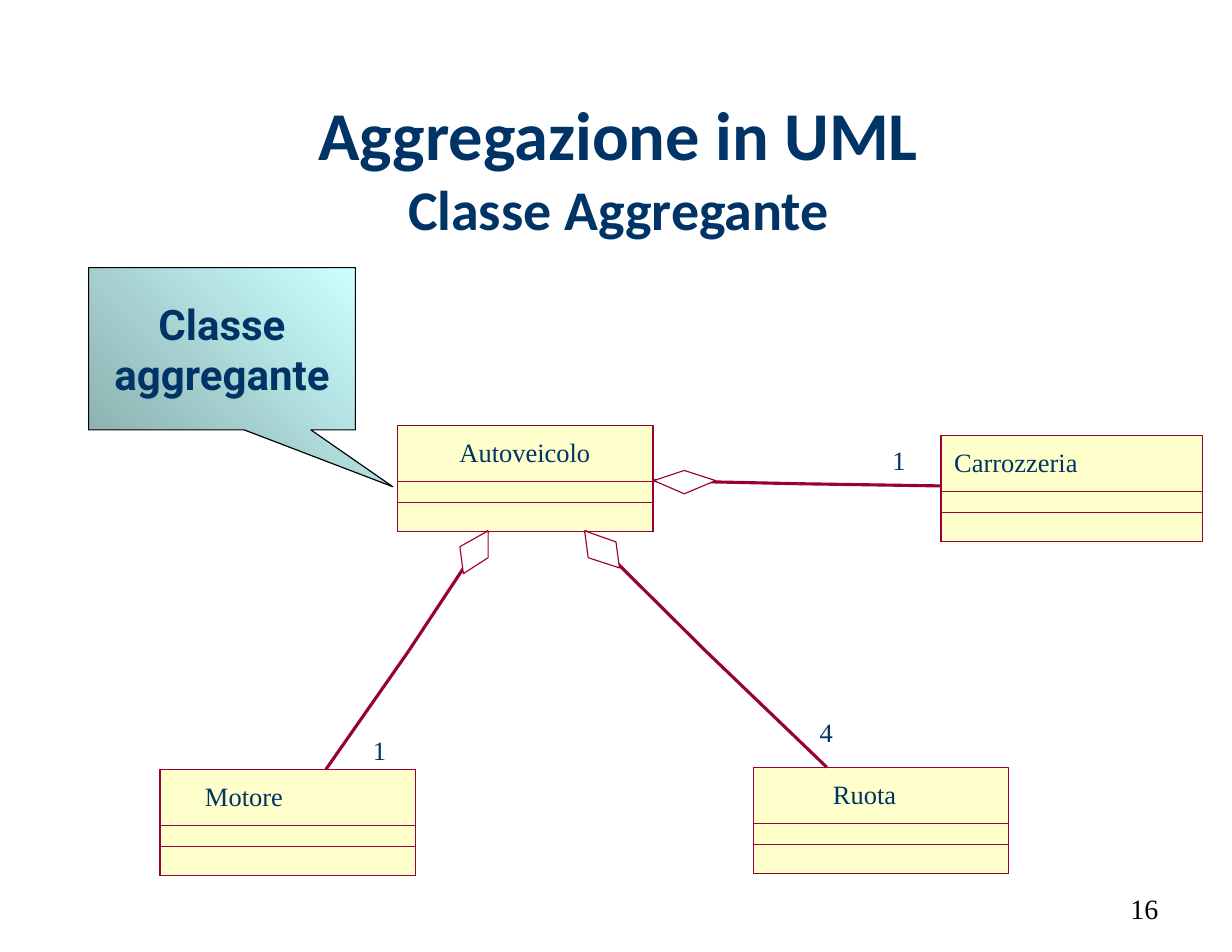
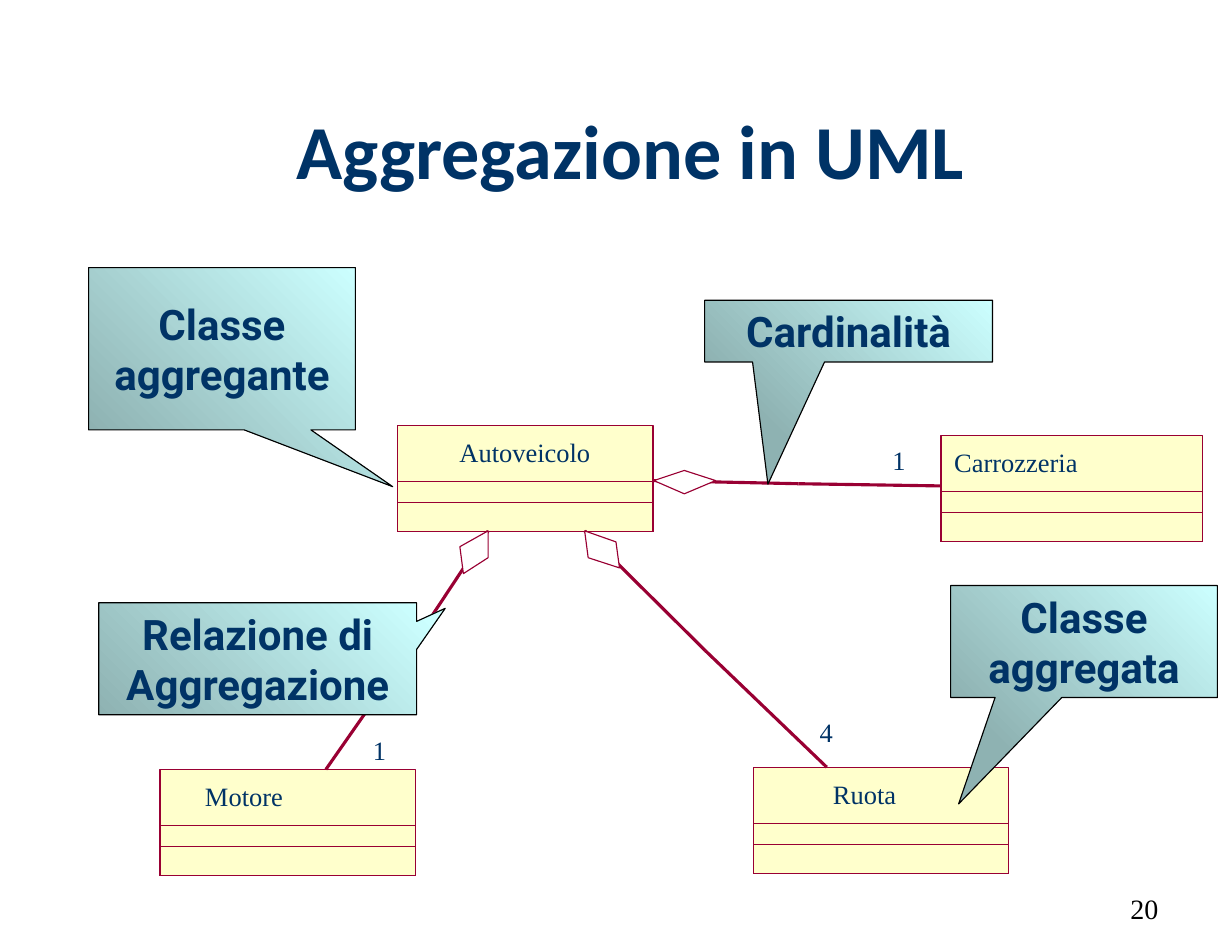
from lxml.etree import SubElement
from pptx import Presentation
from pptx.dml.color import RGBColor
from pptx.enum.shapes import MSO_CONNECTOR, MSO_SHAPE
from pptx.enum.text import MSO_ANCHOR as Anchor, MSO_AUTO_SIZE as AutoSize, PP_ALIGN as Align
from pptx.oxml.ns import qn
from pptx.util import Cm, Pt

NAVY, BLACK, WHITE = "003366", "000000", "FFFFFF"
CREAM, WINE = "FFFFCC", "990033"
TEAL, AQUA = "8EB2B2", "CCFFFF"

TITLE_FONT = dict(name="Calibri", bold=True, color=NAVY)
LABEL_FONT = dict(name="Times New Roman", size=Pt(17), color=NAVY)
NUMBER_FONT = dict(name="Times New Roman", size=Pt(18), color=BLACK)
CALLOUT_FONT = dict(name="Roboto", size=Pt(27), bold=True, color=NAVY)

# All lengths below are centimetres.
TITLE_SIZE = (24.92, 3.61)
NUMBER_BOX = (20.02, 20.02, 6.53, 1.14)
CLASS_HEIGHT = 2.41
COMPARTMENT_TOPS = (1.27, 1.75)
LABEL_HEIGHT = 0.71

# name, left, top, width, indent of the name
CLASSES = [
    ("Ruota", 17.09, 17.4, 5.79, 1.8),
    ("Carrozzeria", 21.34, 9.88, 5.94, 0.3),
    ("Autoveicolo", 9.02, 9.65, 5.79, 1.4),
    ("Motore", 3.63, 17.45, 5.79, 1.02),
]

# tip at the whole, bend, end at the part, diamond corners from the tip,
# cardinality and its place
AGGREGATIONS = [
    ((11.07, 12.04), (9.27, 14.76), (7.39, 17.45),
     [(0, 0.61), (-0.56, 0.97), (-0.64, 0.36)], "1", (8.46, 16.64)),
    ((13.26, 12.04), (16, 14.76), (18.75, 17.4),
     [(0.71, 0.25), (0.79, 0.84), (0.08, 0.61)], "4", (18.59, 16.23)),
    ((14.83, 10.9), (18.11, 10.97), (21.34, 11.02),
     [(0.69, -0.23), (1.4, 0), (0.69, 0.3)], "1", (20.24, 10.08)),
]

# text, box, pointer tip as a share of the box size from its centre
WHOLE_CALLOUT = ("Classe aggregante", (2.01, 6.07, 6.05, 3.68), (0.64, 0.85))
OTHER_CALLOUTS = [
    ("Classe aggregata", (21.56, 13.28, 6.05, 2.54), (-0.47, 1.45)),
    ("Relazione di Aggregazione", (2.24, 13.67, 7.21, 2.54), (0.59, -0.45)),
    ("Cardinalità", (15.98, 6.81, 6.53, 1.4), (-0.28, 2.48)),
]


def cm(*lengths):
    return [Cm(length) for length in lengths]


def rgb(code):
    return RGBColor.from_string(code)


def assign(target, values):
    for name, value in values.items():
        setattr(target, name, value)


def add_span(para, text, font):
    span = para.add_run()
    span.text = text
    assign(span.font, {key: value for key, value in font.items() if key != "color"})
    span.font.color.rgb = rgb(font["color"])


def set_frame(frame, inset_x=0, inset_y=0, **values):
    assign(frame, dict(margin_left=Cm(inset_x), margin_right=Cm(inset_x),
                       margin_top=Cm(inset_y), margin_bottom=Cm(inset_y),
                       auto_size=AutoSize.NONE, **values))


def set_outline(shape, color=WINE, width=0):
    shape.line.color.rgb = rgb(color)
    shape.line.width = Pt(width)


def add_title(page, left, top, lines):
    """Put the (text, size) lines in the title, parted by line breaks."""
    title = page.shapes.title
    box = cm(left, top, *TITLE_SIZE)
    assign(title, dict(zip(("left", "top", "width", "height"), box)))
    set_frame(title.text_frame, 0.28, 0.15, word_wrap=True,
              vertical_anchor=Anchor.MIDDLE)
    para = title.text_frame.paragraphs[0]
    para.alignment = Align.CENTER
    for index, (text, size) in enumerate(lines):
        if index:
            para.add_line_break()
        add_span(para, text, dict(TITLE_FONT, size=Pt(size)))


def add_page_number(page, number):
    frame = page.shapes.add_textbox(*cm(*NUMBER_BOX)).text_frame
    set_frame(frame, 0.28, 0.15, word_wrap=True, vertical_anchor=Anchor.MIDDLE)
    para = frame.paragraphs[0]
    para.alignment = Align.RIGHT
    add_span(para, str(number), NUMBER_FONT)


def add_label(page, text, left, top, width):
    frame = page.shapes.add_textbox(*cm(left, top, width, LABEL_HEIGHT)).text_frame
    set_frame(frame, word_wrap=False)
    add_span(frame.paragraphs[0], text, LABEL_FONT)


def add_class(page, name, left, top, width, indent):
    """Draw a class box with its name and two empty compartments."""
    for offset in (0, *COMPARTMENT_TOPS):
        box = cm(left, top + offset, width, CLASS_HEIGHT - offset)
        part = page.shapes.add_shape(MSO_SHAPE.RECTANGLE, *box)
        part.shadow.inherit = False
        set_outline(part)
        if offset:
            part.fill.background()
        else:
            part.fill.solid()
            part.fill.fore_color.rgb = rgb(CREAM)
    add_label(page, name, left + indent, top + 0.24, width - 2 * indent)


def add_line(page, start, end):
    line = page.shapes.add_connector(MSO_CONNECTOR.STRAIGHT, *cm(*start, *end))
    set_outline(line)
    SubElement(line._element.spPr, qn("a:effectLst"))


def add_aggregation(page, tip, bend, end, corners, cardinality, label_at):
    add_line(page, bend, tip)
    add_line(page, bend, end)
    outline = page.shapes.build_freeform(*cm(*tip))
    outline.add_line_segments([cm(tip[0] + x, tip[1] + y) for x, y in corners])
    diamond = outline.convert_to_shape()
    diamond.shadow.inherit = False
    diamond.fill.solid()
    diamond.fill.fore_color.rgb = rgb(WHITE)
    set_outline(diamond)
    add_label(page, cardinality, *label_at, 0.3)


def add_callout(page, text, box, pointer):
    callout = page.shapes.add_shape(MSO_SHAPE.RECTANGULAR_CALLOUT, *cm(*box))
    callout.shadow.inherit = False
    for index, share in enumerate(pointer):
        callout.adjustments[index] = share
    callout.fill.gradient()
    callout.fill.gradient_angle = 45
    for stop, color in zip(callout.fill.gradient_stops, (TEAL, AQUA)):
        stop.color.rgb = rgb(color)
    set_outline(callout, BLACK, 0.75)
    set_frame(callout.text_frame, 0.25, 0.13, word_wrap=True,
              vertical_anchor=Anchor.MIDDLE)
    para = callout.text_frame.paragraphs[0]
    para.alignment = Align.CENTER
    add_span(para, text, CALLOUT_FONT)


def add_diagram_page(deck, number, title_at, title_lines, callouts):
    page = deck.slides.add_slide(deck.slide_layouts.get_by_name("Title Only"))
    add_title(page, *title_at, title_lines)
    add_page_number(page, number)
    for item in CLASSES:
        add_class(page, *item)
    for item in AGGREGATIONS:
        add_aggregation(page, *item)
    for item in callouts:
        add_callout(page, *item)


def main():
    deck = Presentation()
    deck.slide_width, deck.slide_height = cm(27.94, 21.59)
    add_diagram_page(deck, 16, (1.57, 1.98),
                     [("Aggregazione in UML", 44), ("Classe Aggregante", 36)],
                     [WHOLE_CALLOUT])
    add_diagram_page(deck, 20, (1.83, 1.57), [("Aggregazione in UML", 49)],
                     [WHOLE_CALLOUT, *OTHER_CALLOUTS])
    deck.save("out.pptx")


if __name__ == "__main__":
    main()
